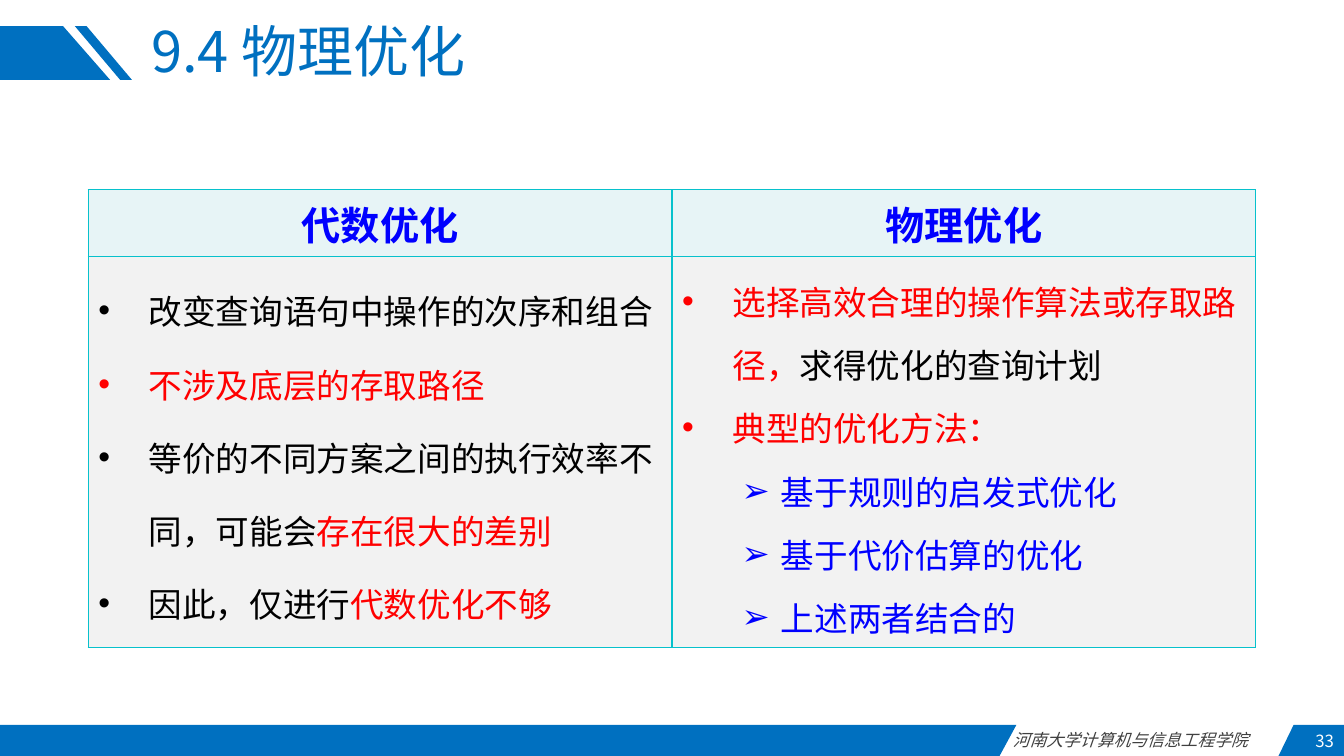
"""Build a slide that sets algebraic beside physical query optimization."""
from lxml import etree
from pptx import Presentation, util as u
from pptx.dml.color import RGBColor
from pptx.enum import text
from pptx.oxml.ns import qn

FACE = "Noto Sans CJK SC"
BLUE = RGBColor(0x00, 0x70, 0xC0)
PURE = RGBColor(0x00, 0x00, 0xFF)
RED = RGBColor(0xFF, 0x00, 0x00)
BLACK = RGBColor(0x00, 0x00, 0x00)
GREY = RGBColor(0x40, 0x40, 0x40)
WHITE = RGBColor(0xFF, 0xFF, 0xFF)
HEAD = RGBColor(0xE7, 0xF4, 0xF6)
BODY = RGBColor(0xF2, 0xF2, 0xF2)
EDGE = RGBColor(0x07, 0xC1, 0xCC)

COLS, ROWS = 160, 90
ALIGN = text.PP_ALIGN

BANDS = [
    [(0, 3.1), (7.5, 3.1), (13.1, 9.5), (0, 9.5)],
    [(10.3, 3.1), (15.7, 9.5), (14.3, 9.5), (8.9, 3.1)],
    [(0, 86.3), (121, 86.3), (119, ROWS), (0, ROWS)],
    [(154, 86.3), (COLS, 86.3), (COLS, ROWS), (152.2, ROWS)],
]
DOT = ("•", 0.5, -0.5)
ARROW = ("➢", 0.98, -0.39)
LEFT = [
    (DOT, [("改变查询语句中操作的次序和组合", BLACK)]),
    (DOT, [("不涉及底层的存取路径", RED)]),
    (DOT, [("等价的不同方案之间的执行效率不同，可能会", BLACK), ("存在很大的差别", RED)]),
    (DOT, [("因此，仅进行", BLACK), ("代数优化不够", RED)]),
]
RIGHT = [
    (DOT, [("选择高效合理的操作算法或存取路径，", RED), ("求得优化的查询计划", BLACK)]),
    (DOT, [("典型的优化方法：", RED)]),
    (ARROW, [("基于规则的启发式优化", PURE)]),
    (ARROW, [("基于代价估算的优化", PURE)]),
    (ARROW, [("上述两者结合的", PURE)]),
]
SIDES = [("代数优化", LEFT, 1.5), ("物理优化", RIGHT, 1.3)]


def grid(n):
    """Turn grid units, a twelfth of an inch each, into a length."""
    return u.Inches(n / 12)


def style(para, size, color, bold=False, italic=False):
    """Set the font of a whole paragraph."""
    font = para.font
    font.size, font.bold, font.italic = u.Pt(size), bold, italic
    font.color.rgb = color
    font.name = FACE
    latin = para._p.pPr.find(qn("a:defRPr")).find(qn("a:latin"))
    east = etree.Element(qn("a:ea"), typeface=FACE)
    latin.addnext(east)


def band(slide, points):
    """Draw a flat blue polygon."""
    spots = [(grid(x), grid(y)) for x, y in points]
    build = slide.shapes.build_freeform(*spots[0])
    build.add_line_segments(spots[1:], close=True)
    shape = build.convert_to_shape()
    shape.shadow.inherit = False
    shape.fill.solid()
    shape.fill.fore_color.rgb = BLUE
    shape.line.fill.background()


def title(slide, words):
    """Place and format the title."""
    shape = slide.shapes.title
    shape.left, shape.top = grid(16.8), grid(3.1)
    shape.width, shape.height = grid(125.4), grid(6.7)
    frame = shape.text_frame
    frame.text = words
    frame.auto_size = text.MSO_AUTO_SIZE.NONE
    frame.vertical_anchor = text.MSO_ANCHOR.MIDDLE
    para = frame.paragraphs[0]
    para.alignment, para.line_spacing = ALIGN.LEFT, 0.9
    style(para, 40, BLUE)


def label(slide, words, box, color, align, anchor, italic=False):
    """Add a small footer text."""
    frame = slide.shapes.add_textbox(*map(grid, box)).text_frame
    frame.word_wrap = True
    frame.vertical_anchor = anchor
    para = frame.paragraphs[0]
    para.text, para.alignment = words, align
    style(para, 12, color, italic=italic)


def paint(cell, color):
    """Give a cell its borders and fill."""
    props = cell._tc.get_or_add_tcPr()
    for side in ("lnL", "lnR", "lnT", "lnB"):
        line = etree.SubElement(props, qn("a:" + side), w=str(u.Pt(1)))
        fill = etree.SubElement(line, qn("a:solidFill"))
        etree.SubElement(fill, qn("a:srgbClr"), val=str(EDGE))
    cell.fill.solid()
    cell.fill.fore_color.rgb = color


def item(para, mark, runs, space):
    """Write one bulleted paragraph of coloured runs."""
    sign, left, hang = mark
    props = para._p.get_or_add_pPr()
    props.set("marL", str(u.Inches(left)))
    props.set("indent", str(u.Inches(hang)))
    para.line_spacing = space
    etree.SubElement(props, qn("a:buFont"), typeface="Arial")
    etree.SubElement(props, qn("a:buChar"), char=sign)
    first = runs[0][1]
    style(para, 24, first)
    for words, color in runs:
        run = para.add_run()
        run.text = words
        if color != first:
            run.font.color.rgb = color


def table(slide):
    """Add the table with one column for each kind of optimization."""
    box = map(grid, (10.5, 22.6, 139, 54.4))
    tab = slide.shapes.add_table(2, len(SIDES), *box).table
    tab.rows[0].height, tab.rows[1].height = grid(7.9), grid(46.5)
    for col, (name, items, space) in enumerate(SIDES):
        head, body = tab.cell(0, col), tab.cell(1, col)
        paint(head, HEAD)
        paint(body, BODY)
        para = head.text_frame.paragraphs[0]
        para.text, para.alignment = name, ALIGN.CENTER
        style(para, 28, PURE, bold=True)
        frame = body.text_frame
        for row, (mark, runs) in enumerate(items):
            para = frame.add_paragraph() if row else frame.paragraphs[0]
            item(para, mark, runs, space)


def main():
    """Build and save the slide."""
    deck = Presentation()
    deck.slide_width, deck.slide_height = grid(COLS), grid(ROWS)
    slide = deck.slides.add_slide(deck.slide_layouts[5])
    for points in BANDS:
        band(slide, points)
    title(slide, "9.4 物理优化")
    table(slide)
    label(slide, "河南大学计算机与信息工程学院", (119.4, 86.3, 32.8, 3.6),
          GREY, ALIGN.JUSTIFY, text.MSO_ANCHOR.TOP, italic=True)
    label(slide, "33", (143.3, 86.4, 16.7, 3.6),
          WHITE, ALIGN.RIGHT, text.MSO_ANCHOR.MIDDLE)
    deck.save("out.pptx")


if __name__ == "__main__":
    main()
